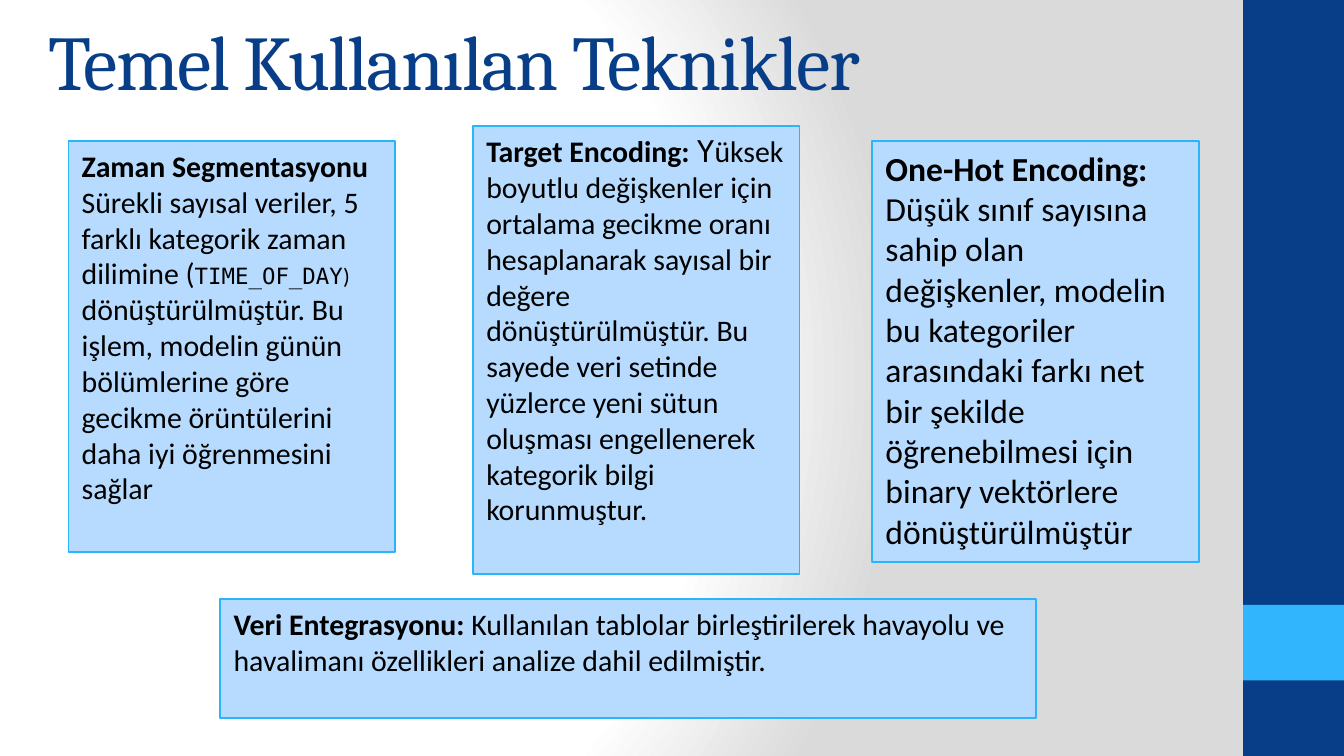
import pptx
import pptx.util
import pptx.dml.color
import pptx.enum.shapes
import pptx.enum.text
import pptx.oxml
import pptx.oxml.ns

Inches = pptx.util.Inches
WIDTH = 10
HEIGHT = WIDTH * 9 / 16
COLORS = {
    "navy": "073E87",
    "sky": "31B6FD",
    "box": "B6DBFE",
    "border": "2BB4FC",
    "text": "000000",
    "white": "FFFFFF",
    "gray": "DADADA",
}
BODY, HEAD, MONO = "Calibri", "Cambria", "DejaVu Sans Mono"


def add_rect(s, at, fill):
    sp = s.shapes.add_shape(
        pptx.enum.shapes.MSO_SHAPE.RECTANGLE, *[Inches(v) for v in at]
    )
    sp.shadow.inherit = False
    sp.fill.solid()
    sp.fill.fore_color.rgb = pptx.dml.color.RGBColor.from_string(COLORS[fill])
    sp.line.fill.background()
    return sp


def add_run(p, text, size, font, color, bold=False):
    r = p.add_run()
    r.text = text
    r.font.size = pptx.util.Pt(size)
    r.font.name = font
    r.font.bold = bold
    r.font.color.rgb = pptx.dml.color.RGBColor.from_string(COLORS[color])
    return r


prs = pptx.Presentation()
prs.slide_width, prs.slide_height = Inches(WIDTH), Inches(HEIGHT)
s = prs.slides.add_slide(prs.slide_layouts[6])

stops = [(0, "white"), (75, "white"), (100, "gray")]
gs = "".join(
    f'<a:gs pos="{pos * 1000}"><a:srgbClr val="{COLORS[c]}"/></a:gs>' for pos, c in stops
)
grad = pptx.oxml.parse_xml(
    f'<a:gradFill {pptx.oxml.ns.nsdecls("a")} rotWithShape="1"><a:gsLst>{gs}</a:gsLst>'
    '<a:path path="circle"><a:fillToRect l="20000" t="50000" r="100000" b="50000"/>'
    "</a:path></a:gradFill>"
)
s.background.fill.solid()
solid = s.background._cSld.bg.bgPr.find(pptx.oxml.ns.qn("a:solidFill"))
solid.getparent().replace(solid, grad)

add_rect(s, (9.25, 0, 0.75, HEIGHT), "navy")
add_rect(s, (9.25, 4.5, 0.75, HEIGHT / 10), "sky")

title = s.shapes.add_textbox(Inches(0.26), 0, Inches(9.32), Inches(0.63))
tf = title.text_frame
tf.word_wrap = True
tf.margin_top = tf.margin_bottom = Inches(0.1)
r = add_run(tf.paragraphs[0], "Temel Kullanılan Teknikler", 41.4, HEAD, "navy")
r.font._element.set("spc", "-100")

boxes = [
    ((0.51, 1.05, 2.43, 3.06), [
        ("Zaman Segmentasyonu ", 16, BODY, True),
        ("Sürekli sayısal veriler, 5 farklı kategorik zaman dilimine (", 16, BODY, False),
        ("TIME_OF_DAY", 12, MONO, False),
        (") ", 12, BODY, False),
        ("dönüştürülmüştür. Bu işlem, modelin günün bölümlerine göre gecikme "
         "örüntülerini daha iyi öğrenmesini sağlar", 16, BODY, False),
    ]),
    ((3.52, 0.94, 2.43, 3.33), [
        ("Target Encoding: ", 16, BODY, True),
        ("Y", 16, MONO, False),
        ("üksek boyutlu değişkenler için ortalama gecikme oranı hesaplanarak sayısal "
         "bir değere dönüştürülmüştür. Bu sayede veri setinde yüzlerce yeni sütun "
         "oluşması engellenerek kategorik bilgi korunmuştur.", 16, BODY, False),
    ]),
    ((6.49, 1.05, 2.43, 3.13), [
        ("One-Hot Encoding:", 18, BODY, True),
        (" Düşük sınıf sayısına sahip olan değişkenler, modelin bu kategoriler "
         "arasındaki farkı net bir şekilde öğrenebilmesi için binary vektörlere "
         "dönüştürülmüştür", 18, BODY, False),
    ]),
    ((1.64, 4.46, 6.07, 0.88), [
        ("Veri Entegrasyonu:", 16, BODY, True),
        (" Kullanılan tablolar birleştirilerek havayolu ve havalimanı özellikleri "
         "analize dahil edilmiştir.", 16, BODY, False),
    ]),
]
for at, runs in boxes:
    sp = add_rect(s, at, "box")
    sp.line.color.rgb = pptx.dml.color.RGBColor.from_string(COLORS["border"])
    sp.line.width = pptx.util.Pt(1)
    tf = sp.text_frame
    tf.word_wrap = True
    tf.vertical_anchor = pptx.enum.text.MSO_ANCHOR.TOP
    p = tf.paragraphs[0]
    p.alignment = pptx.enum.text.PP_ALIGN.LEFT
    for text, size, font, bold in runs:
        add_run(p, text, size, font, "text", bold)

prs.save("out.pptx")
